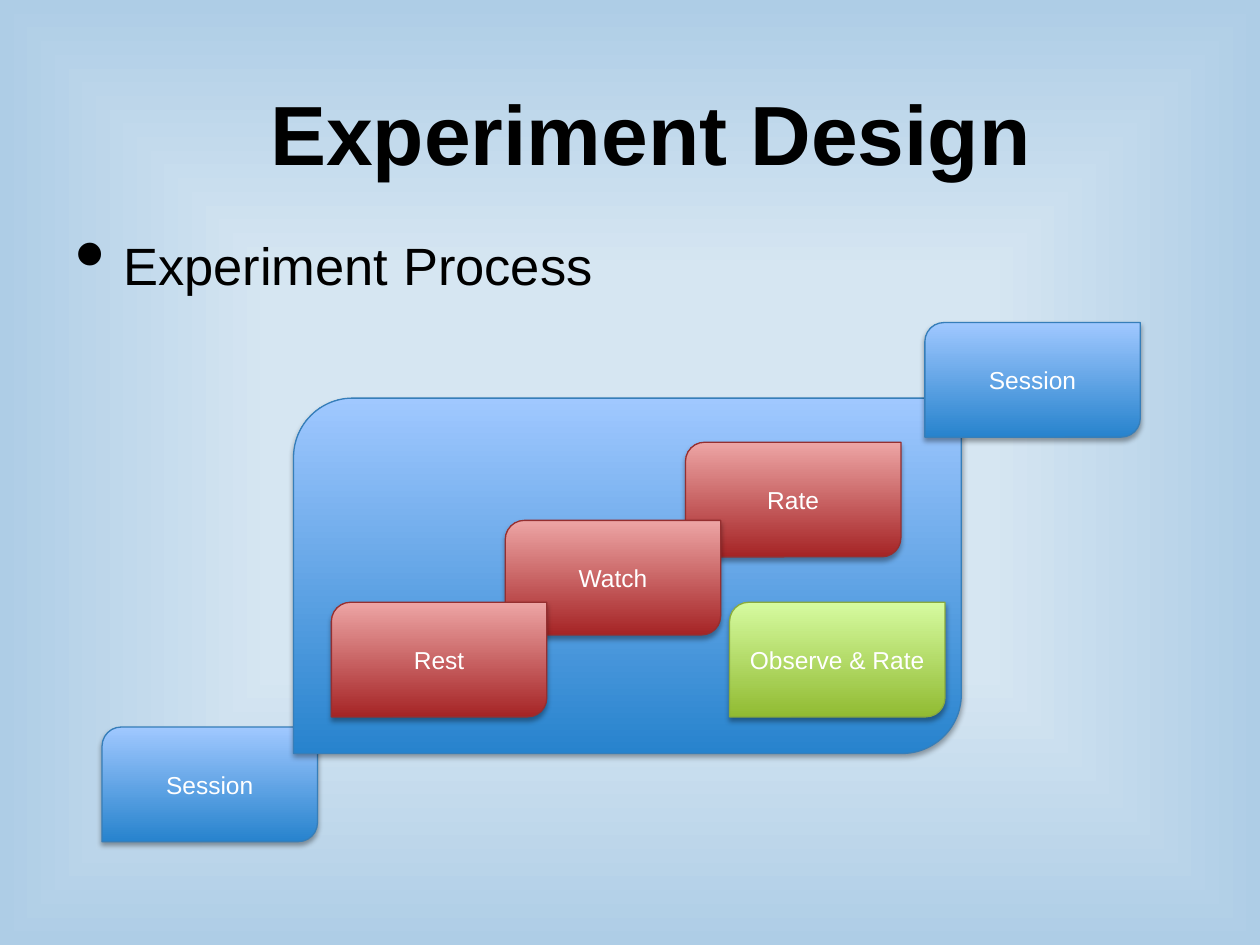
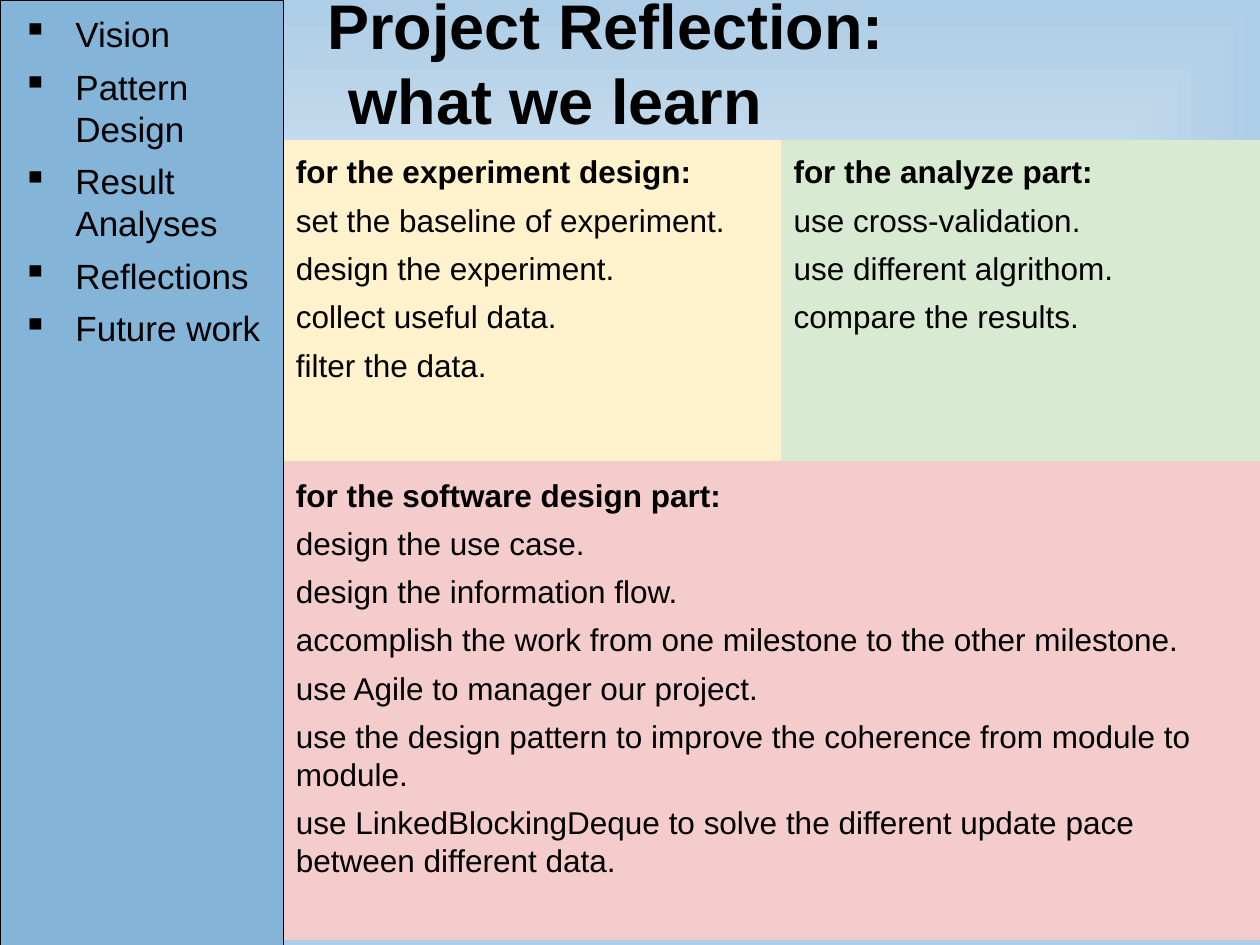
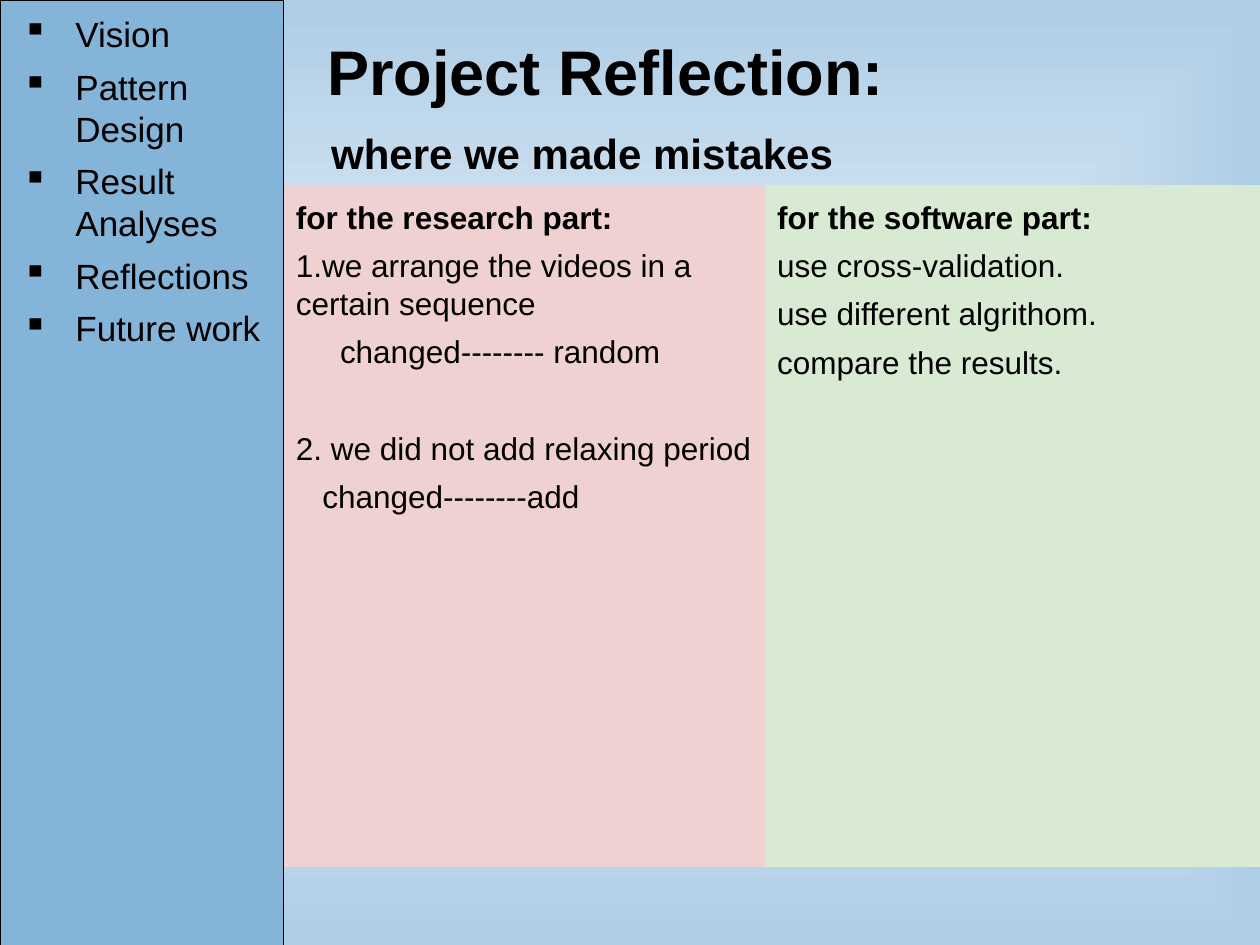
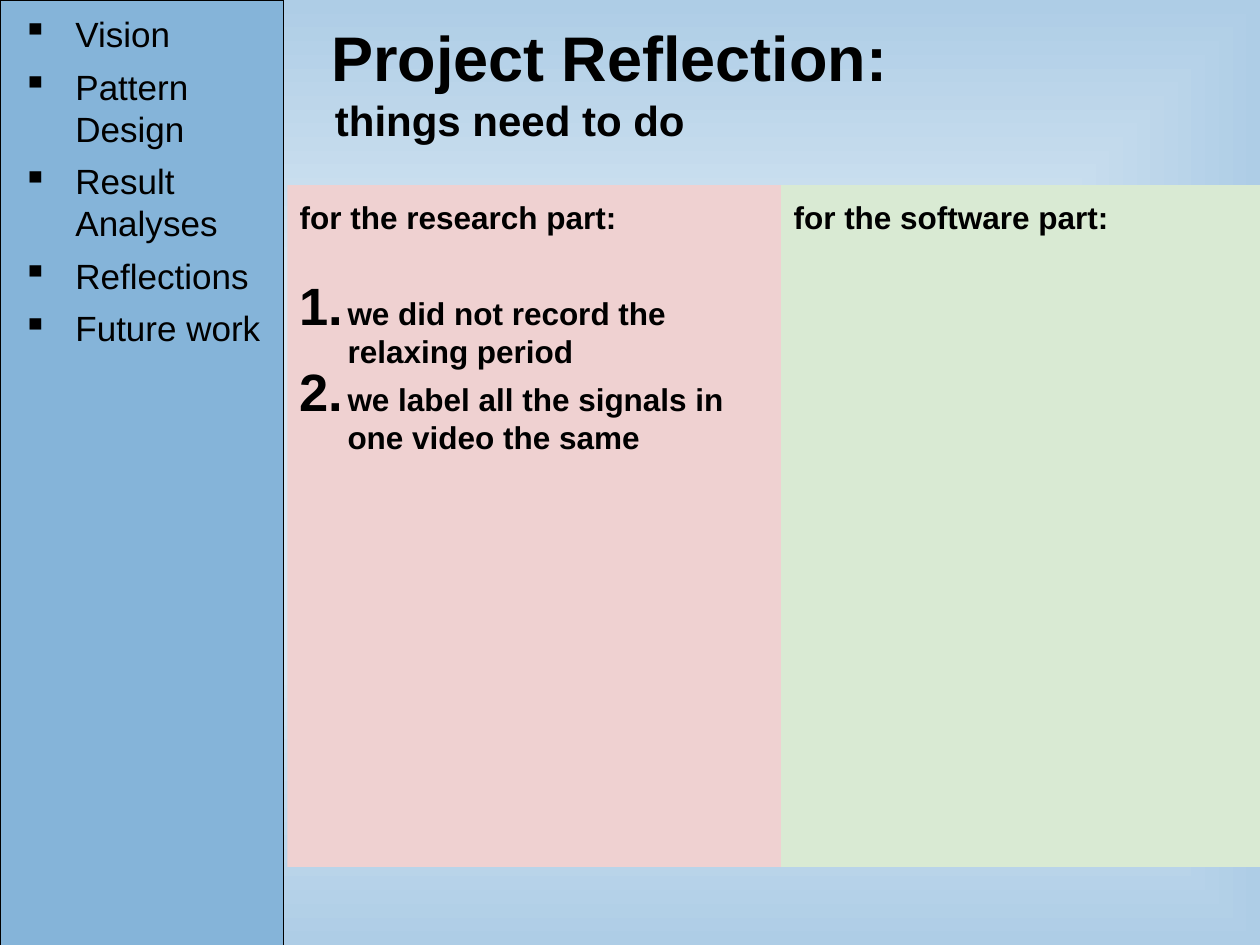
from dataclasses import dataclass

from lxml import etree
from pptx import Presentation
from pptx.dml.color import RGBColor
from pptx.enum.shapes import MSO_SHAPE as SHAPE
from pptx.enum.text import MSO_ANCHOR as ANCHOR, PP_ALIGN as ALIGN
from pptx.oxml import parse_xml
from pptx.oxml.ns import nsdecls, qn
from pptx.util import Inches, Pt

FONT = "Arial"
BLACK, WHITE = "000000", "FFFFFF"
CREAM, GREEN, PINK, ROSE = "FFF2CC", "D9EAD3", "F4CCCC", "EFD1D1"
SIDEBAR = "85B4D9"
BLUE_CARD = ("2783CD", "A0C8FF", "367EB9")
RED_CARD = ("A52425", "EDA5A5", "952F30")
GREEN_CARD = ("91BB32", "D6FBA0", "89AA3E")

prs = Presentation()
prs.slide_width, prs.slide_height = Inches(10), Inches(7.5)
COL = prs.slide_width / 100
ROW = prs.slide_height / 75

SIDE_W = 22.5
CARD_W, CARD_H = 17.1, 9.1
SECTIONS = ["Vision", "Pattern Design", "Result Analyses", "Reflections", "Future work"]


@dataclass
class Line:
    text: str
    size: float = 18
    bold: bool = False
    left: float = 0
    first: float = 0
    before: float = 6
    bullet: str = ""
    scale: int = 100


def rgb(value):
    return RGBColor.from_string(value)


def cells(col, row, cols, rows):
    return int(col * COL), int(row * ROW), int(cols * COL), int(rows * ROW)


def add_bullet(p, line):
    pPr = p._p.get_or_add_pPr()
    color = etree.SubElement(pPr, qn("a:buClr"))
    etree.SubElement(color, qn("a:srgbClr"), val=BLACK)
    etree.SubElement(pPr, qn("a:buSzPct"), val=str(line.scale * 1000))
    if line.bullet == "1.":
        etree.SubElement(pPr, qn("a:buAutoNum"), type="arabicPeriod")
    else:
        etree.SubElement(pPr, qn("a:buChar"), char=line.bullet)


def write(sp, lines, color=BLACK, align=ALIGN.LEFT, anchor=ANCHOR.TOP, inset=0.1, bottom=0.1):
    tf = sp.text_frame
    tf.word_wrap = True
    tf.vertical_anchor = anchor
    tf.margin_left = tf.margin_right = tf.margin_top = Inches(inset)
    tf.margin_bottom = Inches(bottom)
    for i, line in enumerate(lines):
        p = tf.paragraphs[0] if i == 0 else tf.add_paragraph()
        p.text = line.text
        p.alignment = align
        p.space_before = Pt(line.before if i else 0)
        pPr = p._p.get_or_add_pPr()
        pPr.set("marL", str(Inches(line.left)))
        pPr.set("indent", str(Inches(line.first)))
        if line.bullet:
            add_bullet(p, line)
        for r in p.runs:
            r.font.name, r.font.size, r.font.bold = FONT, Pt(line.size), line.bold
            r.font.color.rgb = rgb(color)


def add_text(s, box, lines, **style):
    write(s.shapes.add_textbox(*cells(*box)), lines, **style)


def add_panel(s, box, fill, lines, border=None, **style):
    sp = s.shapes.add_shape(SHAPE.RECTANGLE, *cells(*box))
    sp.fill.solid()
    sp.fill.fore_color.rgb = rgb(fill)
    if border:
        sp.line.color.rgb, sp.line.width = rgb(border), Pt(0.75)
    else:
        sp.line.fill.background()
    sp.shadow.inherit = False
    write(sp, lines, **style)


def add_card(s, box, colors, label=""):
    dark, light, edge = colors
    sp = s.shapes.add_shape(SHAPE.ROUND_2_DIAG_RECTANGLE, *cells(*box))
    sp.fill.gradient()
    sp.fill.gradient_angle = 90
    for stop, value in zip(sp.fill.gradient_stops, (dark, light)):
        stop.color.rgb = rgb(value)
    sp.line.color.rgb, sp.line.width = rgb(edge), Pt(0.75)
    sp.shadow.inherit = False
    sp._element.spPr.find(qn("a:effectLst")).append(parse_xml(
        f'<a:outerShdw {nsdecls("a")} blurRad="{Pt(3.1)}" dist="{Pt(1.8)}" dir="5400000" '
        f'rotWithShape="0"><a:srgbClr val="{BLACK}"><a:alpha val="35000"/></a:srgbClr></a:outerShdw>'))
    if label:
        write(sp, [Line(label, 14)], color=WHITE, align=ALIGN.CENTER,
              anchor=ANCHOR.MIDDLE, inset=0.05, bottom=0.05)


def set_background():
    fill = prs.slide_master.background.fill
    fill.gradient()
    grad = prs.slide_master._element.find(".//" + qn("a:gradFill"))
    grad.getparent().replace(grad, parse_xml(
        f'<a:gradFill {nsdecls("a")} rotWithShape="1"><a:gsLst>'
        '<a:gs pos="0"><a:srgbClr val="D6E6F2"><a:alpha val="92000"/></a:srgbClr></a:gs>'
        '<a:gs pos="42000"><a:srgbClr val="D6E6F2"><a:alpha val="92000"/></a:srgbClr></a:gs>'
        '<a:gs pos="100000"><a:srgbClr val="AECDE6"/></a:gs></a:gsLst>'
        '<a:path path="shape"><a:fillToRect l="50000" t="50000" r="50000" b="50000"/></a:path>'
        '</a:gradFill>'))


def new_slide():
    return prs.slides.add_slide(prs.slide_layouts[6])


def add_sidebar(s):
    add_panel(s, (0, 0, SIDE_W, 75.1), SIDEBAR,
              [Line(name, 20, left=0.5, first=-0.42, bullet="▪") for name in SECTIONS],
              border=BLACK)


def add_title(s, box, subtitle, size=24, indent=0.28, gap=0, bottom=0.1):
    add_text(s, box, [Line("Project Reflection:", 36, True, first=0.25),
                      Line(subtitle, size, True, first=indent, before=gap)],
             anchor=ANCHOR.BOTTOM, bottom=bottom)


def topic(heading, *items):
    return [Line(heading, bold=True)] + [
        item if isinstance(item, Line) else Line(item) for item in items]


def add_process(s, left, top):
    def card(col, row, colors, label="", cols=CARD_W, rows=CARD_H):
        add_card(s, (left + col, top + row, cols, rows), colors, label)

    card(0, 32.1, BLUE_CARD, "Session")
    card(15.2, 6, BLUE_CARD, cols=53, rows=28.2)
    card(46.3, 9.5, RED_CARD, "Rate")
    card(32, 15.7, RED_CARD, "Watch")
    card(18.2, 22.2, RED_CARD, "Rest")
    card(49.8, 22.2, GREEN_CARD, "Observe & Rate")
    card(65.3, 0, BLUE_CARD, "Session")


def experiment_slide():
    s = new_slide()
    add_text(s, (5, 17.5, 90, 8.1),
             [Line("Experiment Process", 30, left=0.38, first=-0.38, bullet="•", scale=167)])
    add_text(s, (5, 3, 90, 12.5), [Line("Experiment Design", 48, True, first=0.33)],
             align=ALIGN.CENTER, anchor=ANCHOR.BOTTOM)
    add_process(s, 8.1, 25.6)


def learned_slide():
    s = new_slide()
    add_title(s, (SIDE_W, 5.3, 75.6, 6.6), "what we learn", size=36, indent=0.42)
    top, height, split = 11.1, 25.5, 62
    add_panel(s, (SIDE_W, top, split - SIDE_W, height), CREAM, topic(
        "for the experiment design:", "set the baseline of experiment.",
        "design the experiment.", "collect useful data.", "filter the data."))
    add_panel(s, (split, top, 100 - split, height), GREEN, topic(
        "for the analyze part:", "use cross-validation.",
        "use different algrithom.", "compare the results."))
    add_panel(s, (SIDE_W, top + height, 78.1, 38), PINK, topic(
        "for the software design part:", "design the use case.",
        "design the information flow.",
        "accomplish the work from one milestone to the other milestone.",
        "use Agile to manager our project.",
        "use the design pattern to improve the coherence from module to module.",
        "use LinkedBlockingDeque to solve the different update pace between different data."),
        anchor=ANCHOR.MIDDLE, bottom=0.47)
    add_sidebar(s)


def two_part_slide(title_box, title_style, left, split, right, research, software):
    s = new_slide()
    top, height = 14.7, 54.1
    add_title(s, title_box, **title_style)
    add_panel(s, (left, top, split - left, height), ROSE,
              topic("for the research part:", *research))
    add_panel(s, (split, top, right - split, height), GREEN,
              topic("for the software part:", *software))
    add_sidebar(s)


def main():
    set_background()
    experiment_slide()
    learned_slide()
    two_part_slide(
        (SIDE_W, 3, 90, 12.5),
        dict(subtitle="where we made mistakes", gap=11, bottom=0.14),
        SIDE_W, 60.7, 100,
        ["1.we arrange the videos in a certain sequence",
         Line("changed-------- random", first=0.35),
         Line("2. we did not add relaxing period", before=33.5),
         Line("changed--------add", first=0.21)],
        ["use cross-validation.", "use different algrithom.", "compare the results."])
    numbered = dict(bold=True, left=0.38, first=-0.38, bullet="1.", scale=167)
    two_part_slide(
        (22.8, 0, 90, 12.5), dict(subtitle="things need to do"),
        22.8, 62, 100.5,
        [Line("we did not record the relaxing period", before=33.5, **numbered),
         Line("we label all the signals in one video the same", **numbered)],
        [])
    prs.save("out.pptx")


if __name__ == "__main__":
    main()
